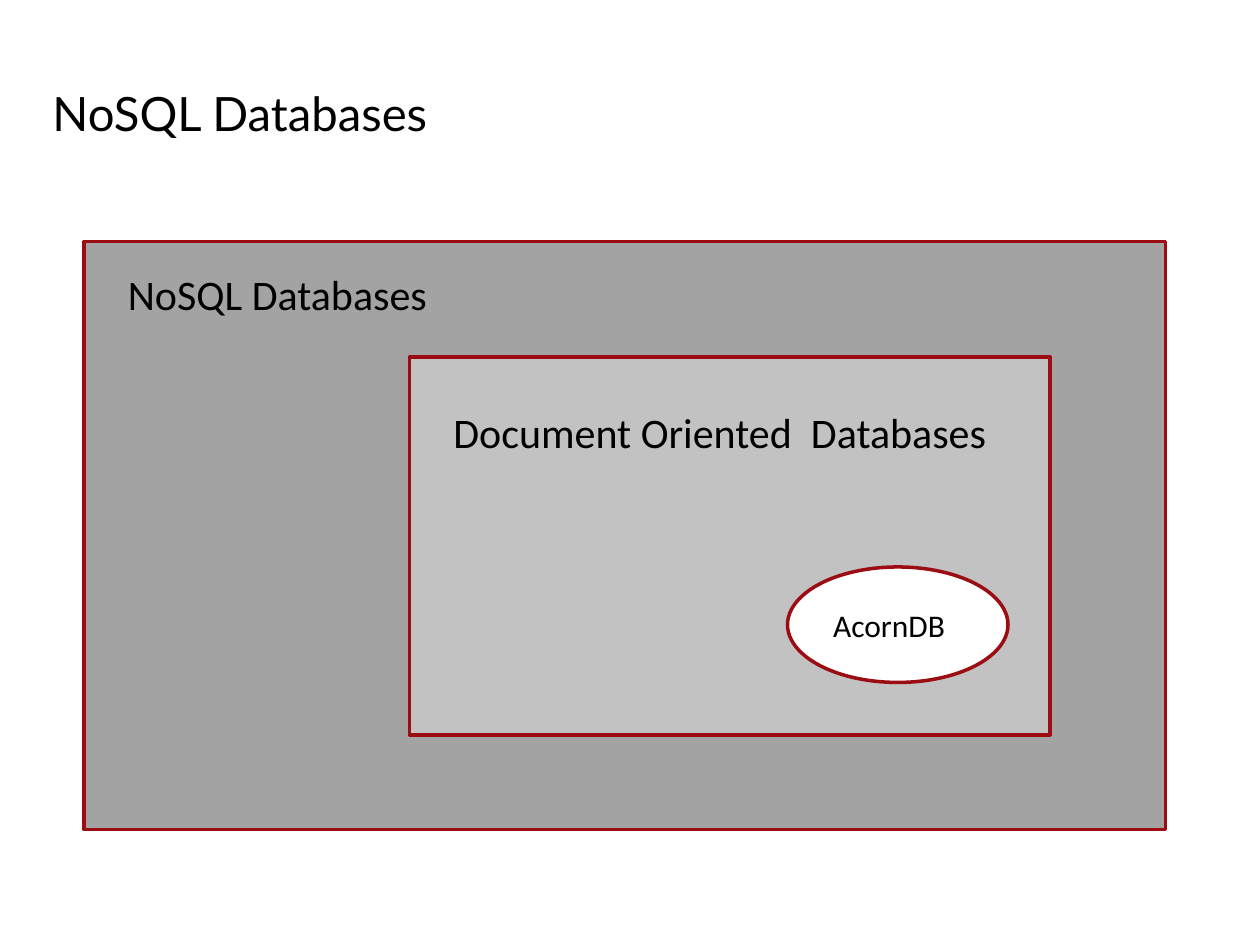
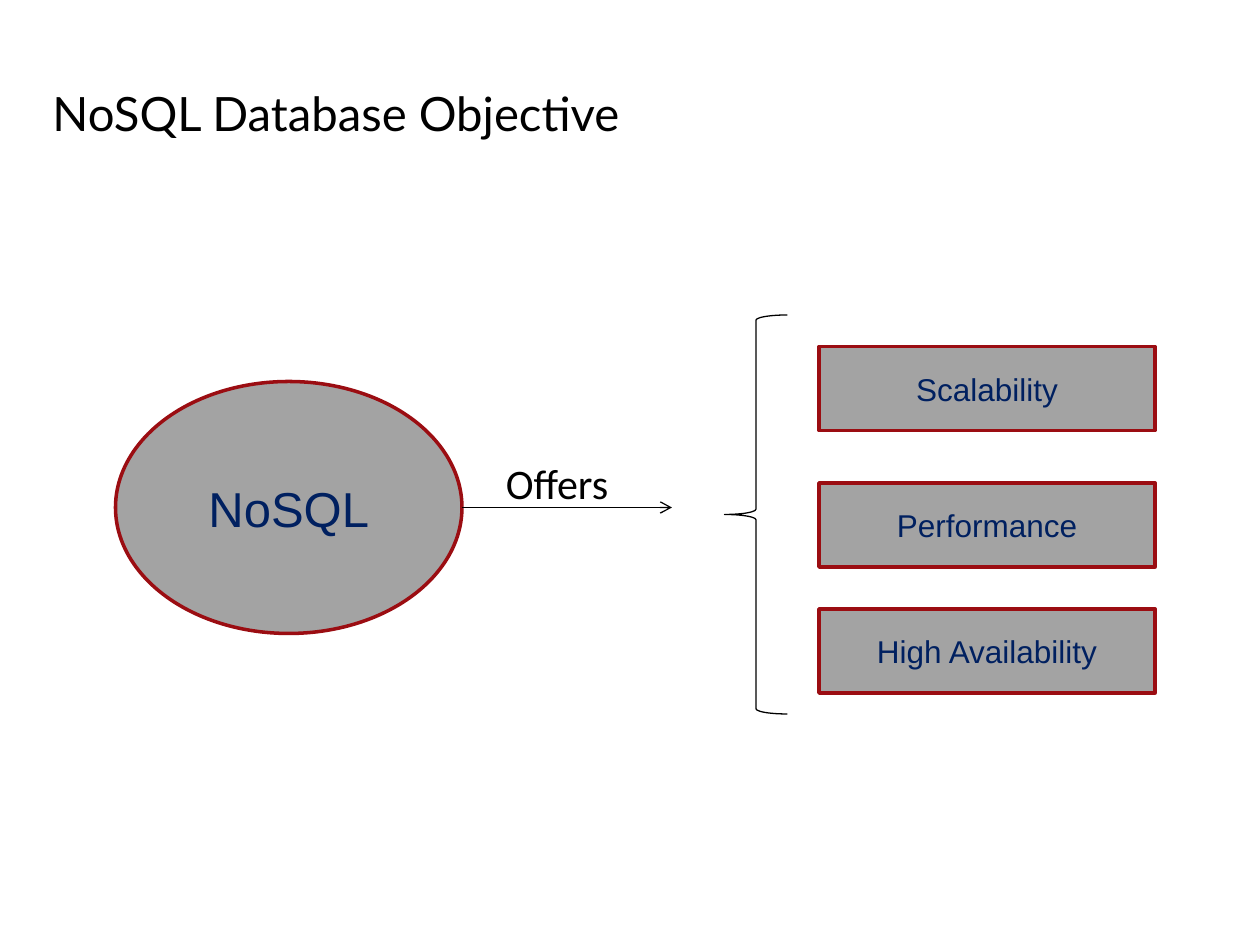
from dataclasses import dataclass

from pptx import Presentation
from pptx.dml.color import RGBColor
from pptx.enum import shapes, text
from pptx.oxml.ns import qn
from pptx.util import Pt


@dataclass(frozen=True)
class Theme:
    black: str = "000000"
    white: str = "FFFFFF"
    gray: str = "A3A3A3"
    light_gray: str = "C2C2C2"
    red: str = "9B0D12"
    navy: str = "002060"
    title_font: str = "Lato"
    label_font: str = "Calibri"
    shape_font: str = "Arial"
    title_size: int = 27
    hub_size: int = 28
    label_size: int = 24
    small_size: int = 18
    border: float = 2
    thin: float = 0.75


T = Theme()
SHAPE = shapes.MSO_SHAPE

# Content; boxes are (left, top, width, height) in points
FAMILY_TITLE = "NoSQL Databases"
NESTED_SETS = [
    (SHAPE.RECTANGLE, (48, 138, 618, 336), T.gray),
    (SHAPE.RECTANGLE, (234, 204, 366, 216), T.light_gray),
    (SHAPE.OVAL, (450, 324, 126, 66), T.white),
]
SET_LABELS = [
    ("NoSQL Databases", (66, 150, 187, 36), T.label_size),
    ("Document Oriented  Databases", (252, 229, 322, 36), T.label_size),
    ("AcornDB", (469, 343, 89, 29), T.small_size),
]

OBJECTIVE_TITLE = "NoSQL Database Objective"
HUB = ("NoSQL", (66, 218, 198, 144))
OFFER = ("Offers", (282, 258, 80, 36))
ARROW_LENGTH = 120
BRACE = (414, 180, 36, 228)
BENEFIT_TOPS = {"Scalability": 198, "Performance": 276, "High Availability": 348}
BENEFIT_LEFT, BENEFIT_WIDTH, BENEFIT_HEIGHT = 468, 192, 48

TITLE_BOX = (30, 48, 648, 42)


def rgb(color):
    return RGBColor.from_string(color)


def pts(box):
    return [Pt(v) for v in box]


def write(tf, words, *, size, font, color=T.black, align=text.PP_ALIGN.LEFT,
          anchor=text.MSO_ANCHOR.TOP):
    tf.vertical_anchor = anchor
    p = tf.paragraphs[0]
    p.alignment = align
    r = p.add_run()
    r.text = words
    r.font.size = Pt(size)
    r.font.name = font
    r.font.color.rgb = rgb(color)


def add_titled_slide(prs, title):
    s = prs.slides.add_slide(prs.slide_layouts[5])
    sp = s.shapes.title
    sp.left, sp.top, sp.width, sp.height = pts(TITLE_BOX)
    tf = sp.text_frame
    tf.margin_left = tf.margin_top = tf.margin_right = tf.margin_bottom = 0
    tf.auto_size = text.MSO_AUTO_SIZE.NONE
    write(tf, title, size=T.title_size, font=T.title_font)
    return s


def add_label(s, words, box, size):
    tf = s.shapes.add_textbox(*pts(box)).text_frame
    tf.word_wrap = False
    tf.auto_size = text.MSO_AUTO_SIZE.SHAPE_TO_FIT_TEXT
    write(tf, words, size=size, font=T.label_font)


def add_figure(s, kind, box, fill=None, line=T.red, width=T.border):
    sp = s.shapes.add_shape(kind, *pts(box))
    sp.shadow.inherit = False
    if fill:
        sp.fill.solid()
        sp.fill.fore_color.rgb = rgb(fill)
    else:
        sp.fill.background()
    sp.line.color.rgb = rgb(line)
    sp.line.width = Pt(width)
    return sp


def add_node(s, kind, words, box, size):
    """Add a gray shape with centred navy text."""
    sp = add_figure(s, kind, box, T.gray)
    write(sp.text_frame, words, size=size, font=T.shape_font, color=T.navy,
          align=text.PP_ALIGN.CENTER, anchor=text.MSO_ANCHOR.MIDDLE)


def add_arrow(s, x, y, length):
    cx = s.shapes.add_connector(shapes.MSO_CONNECTOR.STRAIGHT,
                                *pts((x, y, x + length, y)))
    cx.line.color.rgb = rgb(T.black)
    cx.line.width = Pt(T.thin)
    ln = cx.line._get_or_add_ln()
    ln.append(ln.makeelement(qn("a:tailEnd"), {"type": "arrow"}))
    props = ln.getparent()
    props.append(props.makeelement(qn("a:effectLst"), {}))


def build_family_slide(prs):
    s = add_titled_slide(prs, FAMILY_TITLE)
    for kind, box, fill in NESTED_SETS:
        add_figure(s, kind, box, fill)
    for words, box, size in SET_LABELS:
        add_label(s, words, box, size)


def build_objective_slide(prs):
    s = add_titled_slide(prs, OBJECTIVE_TITLE)
    words, box = HUB
    left, top, width, height = box
    add_node(s, SHAPE.OVAL, words, box, T.hub_size)
    add_arrow(s, left + width, top + height / 2, ARROW_LENGTH)
    add_label(s, *OFFER, T.label_size)
    add_figure(s, SHAPE.LEFT_BRACE, BRACE, line=T.black, width=T.thin)
    for benefit, y in BENEFIT_TOPS.items():
        add_node(s, SHAPE.RECTANGLE, benefit,
                 (BENEFIT_LEFT, y, BENEFIT_WIDTH, BENEFIT_HEIGHT), T.small_size)


def main():
    prs = Presentation()
    prs.slide_width, prs.slide_height = Pt(720), Pt(540)
    build_family_slide(prs)
    build_objective_slide(prs)
    prs.save("out.pptx")


if __name__ == "__main__":
    main()
